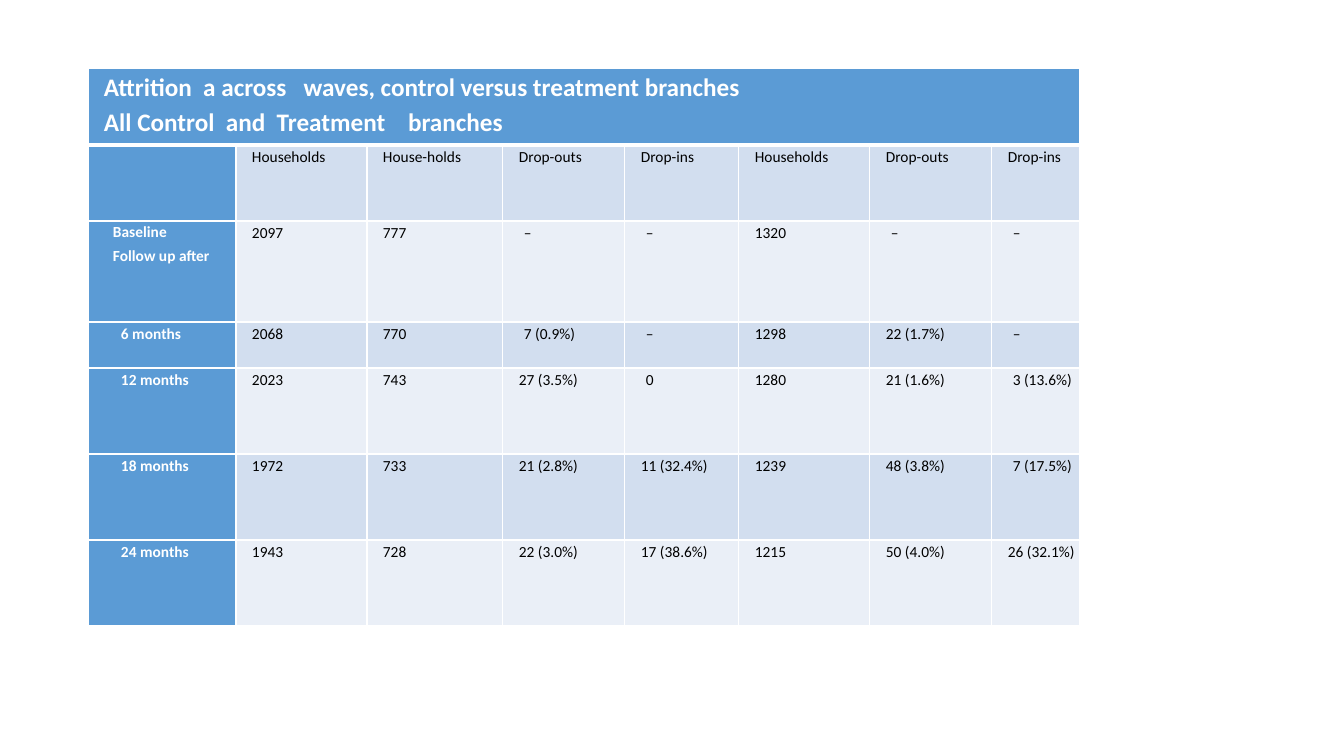
from pptx import Presentation
from pptx.dml.color import RGBColor as RGB
from pptx.enum.text import PP_ALIGN as Align
from pptx.oxml.ns import qn
from pptx.util import Pt
from lxml.etree import SubElement as Sub

SCALE = 914400 / 100.8
BLUE, PALE, LIGHT, WHITE, BLACK = "5B9BD5", "D2DEEF", "EAEFF7", "FFFFFF", "000000"

COLS = [148, 131, 136, 122, 114, 131, 122, 88]
ROWS = [77, 76, 101, 46, 86, 86, 86]
TITLE = ["Attrition  a across   waves, control versus treatment branches",
         "All Control  and  Treatment    branches"]
DATA = [
    ["", "Households", "House-holds", "Drop-outs", "Drop-ins",
     "Households", "Drop-outs", "Drop-ins"],
    ["Baseline", "2097", "777", "–", "–", "1320", "–", "–"],
    ["6 months", "2068", "770", "7 (0.9%)", "–", "1298", "22 (1.7%)", "–"],
    ["12 months", "2023", "743", "27 (3.5%)", "0", "1280", "21 (1.6%)", "3 (13.6%)"],
    ["18 months", "1972", "733", "21 (2.8%)", "11 (32.4%)", "1239", "48 (3.8%)", "7 (17.5%)"],
    ["24 months", "1943", "728", "22 (3.0%)", "17 (38.6%)", "1215", "50 (4.0%)", "26 (32.1%)"],
]


def px(num):
    return round(num * SCALE)


def tint(code):
    return RGB.from_string(code)


def write(para, text, size=11, color=BLACK, bold=False, left=0, line=1.15,
          after=0, align=None):
    run = para.add_run()
    run.text = text
    font = run.font
    font.name, font.size, font.bold = "Calibri", Pt(size), bold
    font.color.rgb = tint(color)
    para.line_spacing, para.space_after = line, Pt(after)
    para.alignment = align
    # Left margin and first-line indent
    props = para._p.get_or_add_pPr()
    props.set("marL", str(px(left)))
    props.set("indent", str(px(16)))


class Deck:
    def __init__(self, wide, high):
        self.file = Presentation()
        self.file.slide_width, self.file.slide_height = px(wide), px(high)
        self.slide = self.file.slides.add_slide(self.file.slide_layouts[6])

    def table(self, left, top, cols, rows):
        grid = self.slide.shapes.add_table(
            len(rows), len(cols), px(left), px(top), px(sum(cols)), px(sum(rows))).table
        grid.first_row = grid.horz_banding = False
        for col, wide in zip(grid.columns, cols):
            col.width = px(wide)
        for row, high in zip(grid.rows, rows):
            row.height = px(high)
        return grid

    def cell(self, cell, fill, above=1, below=1):
        cell.margin_left = cell.margin_top = cell.margin_bottom = 0
        cell.margin_right = px(4)
        cell.fill.solid()
        cell.fill.fore_color.rgb = tint(fill)
        # White borders, placed ahead of the fill
        props = cell._tc.get_or_add_tcPr()
        sides = {"lnL": 1, "lnR": 1, "lnT": above, "lnB": below}
        for spot, (side, wide) in enumerate(sides.items()):
            edge = Sub(props, qn("a:" + side), w=str(Pt(wide)))
            Sub(Sub(edge, qn("a:solidFill")), qn("a:srgbClr"), val=WHITE)
            props.insert(spot, edge)

    def lines(self, cell, items):
        frame = cell.text_frame
        for spot, (text, form) in enumerate(items):
            para = frame.add_paragraph() if spot else frame.paragraphs[0]
            write(para, text, **form)

    def save(self):
        self.file.save("out.pptx")


def main():
    deck = Deck(1344, 756)
    grid = deck.table(88, 68, COLS, ROWS)

    # Title band across all columns
    for col in range(len(COLS)):
        deck.cell(grid.cell(0, col), BLUE, below=3)
    head = grid.cell(0, 0)
    head.merge(grid.cell(0, len(COLS) - 1))
    deck.lines(head, [(text, dict(size=18, color=WHITE, bold=True)) for text in TITLE])

    # Column heads, row labels and figures
    for row, texts in enumerate(DATA, 1):
        for col, text in enumerate(texts):
            cell = grid.cell(row, col)
            band = PALE if row % 2 else LIGHT
            deck.cell(cell, band if col else BLUE, above=3 if row == 1 else 1)
            if not text:
                continue
            if col:
                # Single-character counts sit slightly further in
                short = len(text.split()[0]) == 1
                last = row == len(DATA) and col == len(COLS) - 1
                items = [(text, dict(left=5 if short else 0,
                                     align=Align.JUSTIFY if last else None))]
            else:
                label = dict(color=WHITE, bold=True)
                if row == 2:
                    label["left"] = 9
                    items = [(text, dict(label, line=1.1, after=1.6)),
                             ("Follow up after", label)]
                else:
                    items = [(text, dict(label, left=17))]
            deck.lines(cell, items)

    deck.save()


if __name__ == "__main__":
    main()
